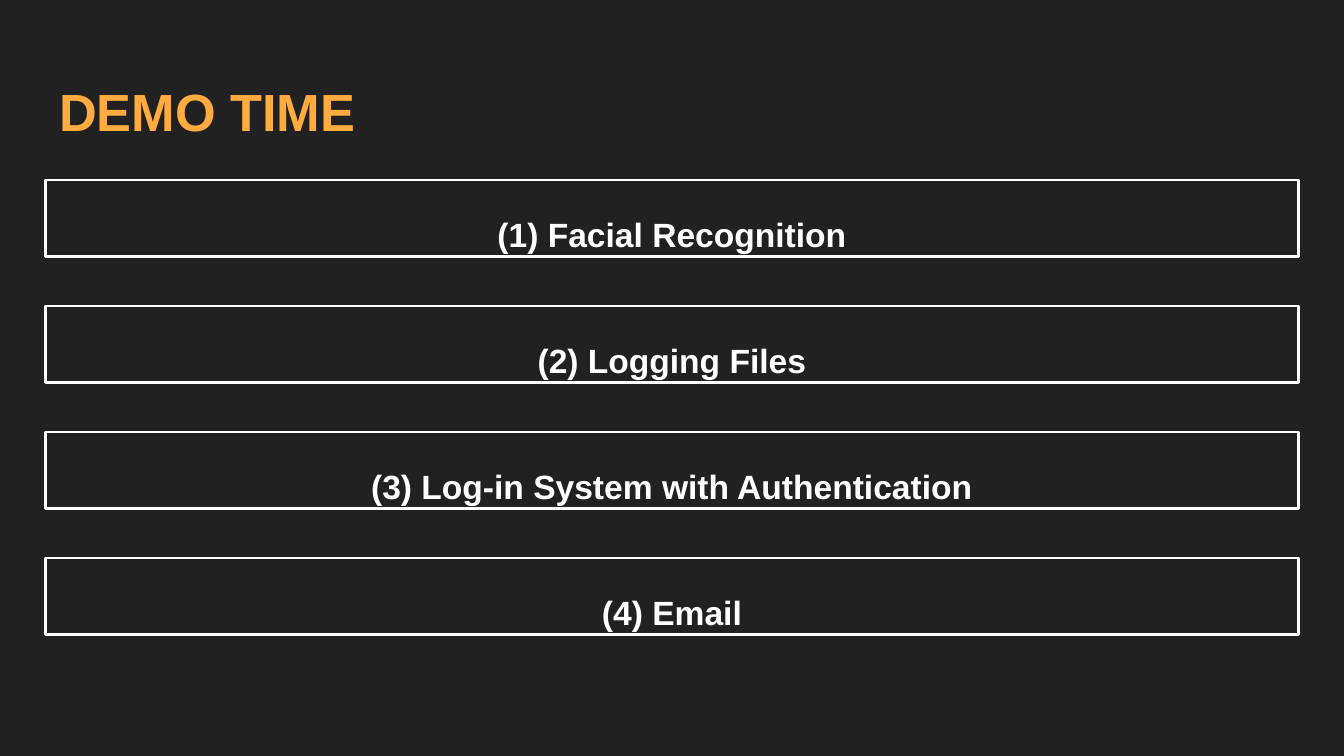
from pptx import Presentation
from pptx.dml.color import RGBColor
from pptx.enum.shapes import MSO_SHAPE as Shape
from pptx.enum.text import MSO_ANCHOR as Anchor, PP_ALIGN as Align
from pptx.util import Pt

COLORS = {"background": "212121", "title": "FFAB40", "white": "FFFFFF"}
LEFT, WIDTH = 24.5, 671
DEMOS = [
    "(1) Facial Recognition",
    "(2) Logging Files",
    "(3) Log-in System with Authentication",
    "(4) Email",
]


def color(name):
    return RGBColor.from_string(COLORS[name])


def write(box, text, *, size, fill, align=Align.LEFT, spacing=1.0):
    frame = box.text_frame
    frame.word_wrap = True
    frame.vertical_anchor = Anchor.TOP
    frame.margin_left = frame.margin_right = Pt(7.2)
    frame.margin_top = frame.margin_bottom = Pt(7.2)
    para = frame.paragraphs[0]
    para.alignment = align
    para.line_spacing = spacing
    para.space_before = Pt(0)
    span = para.add_run()
    span.text = text
    span.font.name = "Arial"
    span.font.size = Pt(size)
    span.font.bold = True
    span.font.color.rgb = color(fill)


def add_title(page, text):
    title = page.shapes.title
    title.left, title.top = Pt(LEFT), Pt(35)
    title.width, title.height = Pt(WIDTH), Pt(45)
    write(title, text, size=28, fill="title")


def add_demo_box(page, text, top):
    box = page.shapes.add_shape(
        Shape.RECTANGLE, Pt(LEFT), Pt(top), Pt(WIDTH), Pt(41)
    )
    box.shadow.inherit = False
    box.fill.background()
    box.line.color.rgb = color("white")
    box.line.width = Pt(1.5)
    write(box, text, size=18, fill="white", align=Align.CENTER, spacing=1.5)


def main():
    deck = Presentation()
    deck.slide_width, deck.slide_height = Pt(720), Pt(405)
    page = deck.slides.add_slide(deck.slide_layouts[5])
    page.background.fill.solid()
    page.background.fill.fore_color.rgb = color("background")

    add_title(page, "DEMO TIME")

    # Evenly spaced list of demos
    for index, demo in enumerate(DEMOS):
        add_demo_box(page, demo, top=96.5 + 67.5 * index)

    deck.save("out.pptx")


if __name__ == "__main__":
    main()
